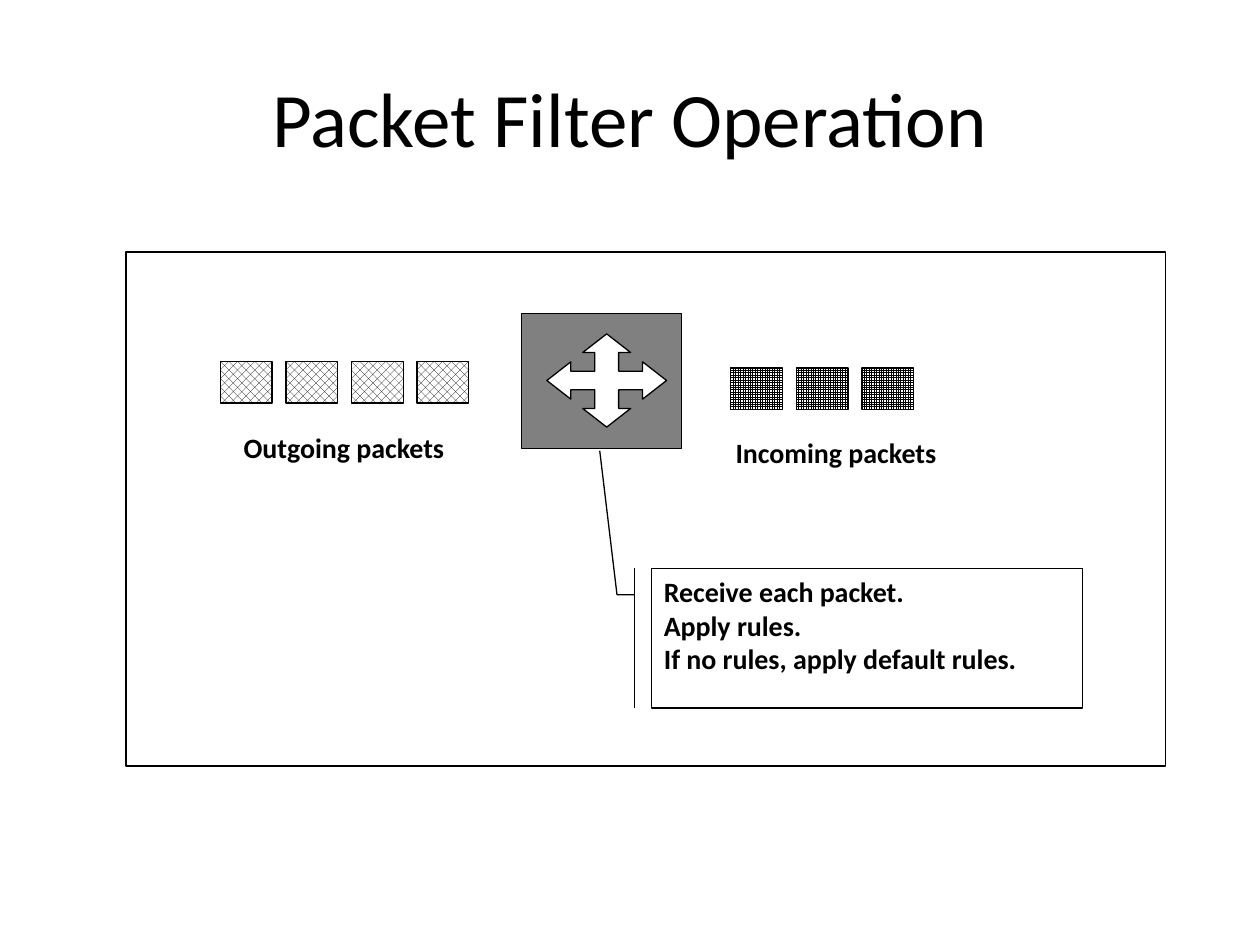
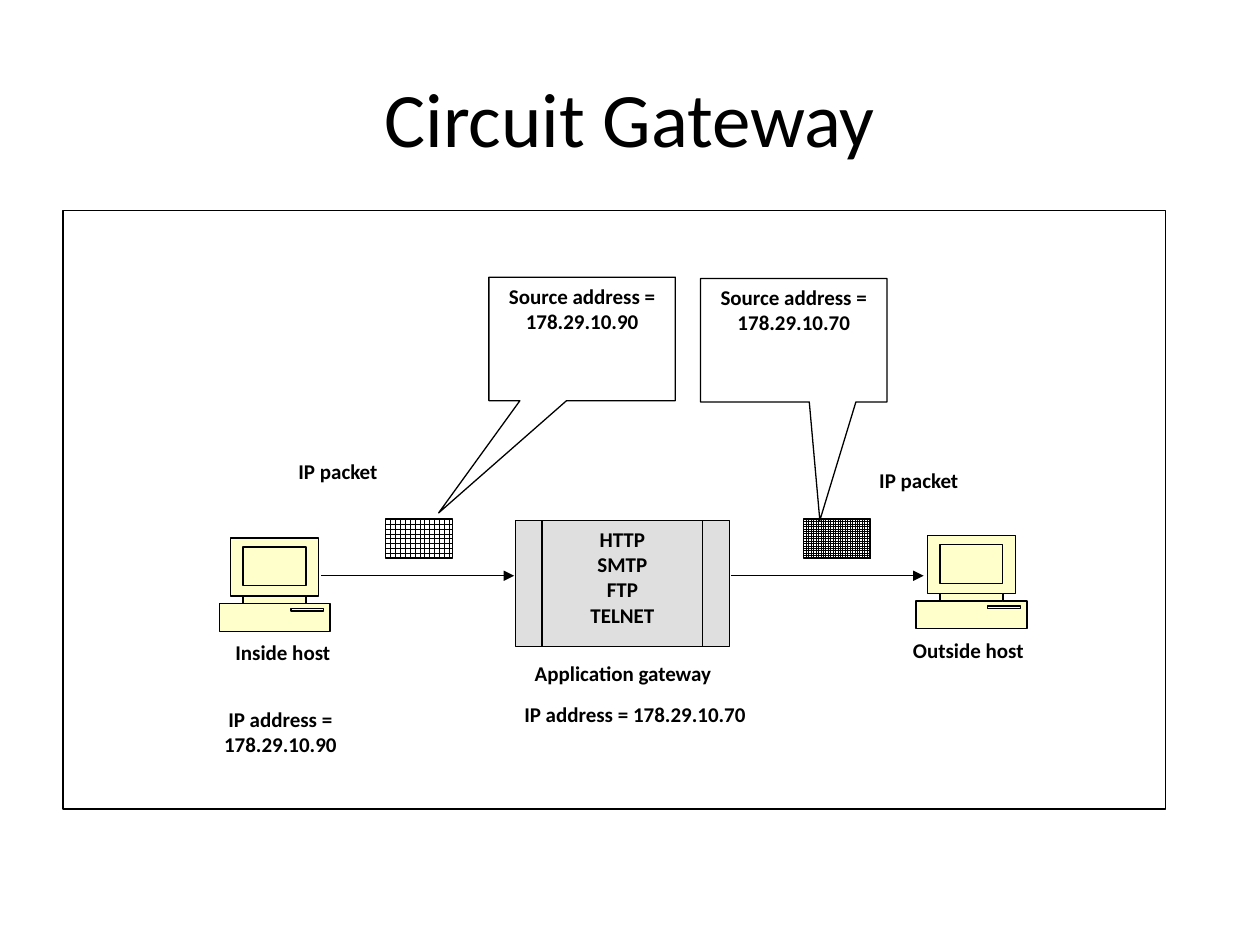
from dataclasses import dataclass

from lxml.etree import SubElement
from pptx import Presentation
from pptx.dml.color import RGBColor
from pptx.enum.dml import MSO_PATTERN
from pptx.enum.shapes import MSO_CONNECTOR, MSO_SHAPE
from pptx.enum.text import MSO_ANCHOR, PP_ALIGN
from pptx.oxml.ns import qn
from pptx.util import Inches, Pt

FONT = "Calibri"
BLACK, WHITE = "000000", "FFFFFF"
DARK_GREY, LIGHT_GREY, CREAM = "808080", "C0C0C0", "FFFFCC"
LINE_WIDTH = 0.75


@dataclass
class Box:
    """A rectangle in inches."""
    left: float
    top: float
    width: float
    height: float

    def inside(self, left, top, width, height):
        """Return a box placed relative to this one."""
        return Box(self.left + left, self.top + top, width, height)

    def lengths(self):
        """Return left, top, width and height as lengths."""
        return [Inches(side) for side in (self.left, self.top, self.width, self.height)]


def color(value):
    """Turn a hex string into a colour."""
    return RGBColor.from_string(value)


def write(shape, text, size=12, bold=True, align=PP_ALIGN.CENTER, anchor=MSO_ANCHOR.TOP):
    """Fill a shape with one paragraph for each line of text."""
    frame = shape.text_frame
    frame.word_wrap = True
    frame.vertical_anchor = anchor
    for number, line in enumerate(text.split("\n")):
        para = frame.add_paragraph() if number else frame.paragraphs[0]
        para.alignment = align
        span = para.add_run()
        span.text = line
        span.font.name = FONT
        span.font.size = Pt(size)
        span.font.bold = bold
        span.font.color.rgb = color(BLACK)


def paint(shape, fill=WHITE, outlined=True):
    """Give a shape its fill and outline, without a shadow."""
    shape.shadow.inherit = False
    shape.fill.solid()
    shape.fill.fore_color.rgb = color(fill)
    if outlined:
        shape.line.color.rgb = color(BLACK)
        shape.line.width = Pt(LINE_WIDTH)
    else:
        shape.line.fill.background()
    return shape


def add_preset(page, box, kind=MSO_SHAPE.RECTANGLE, fill=WHITE, outlined=True, adjustments=()):
    """Add a painted preset shape."""
    shape = page.shapes.add_shape(kind, *box.lengths())
    for number, value in enumerate(adjustments):
        shape.adjustments[number] = value
    return paint(shape, fill, outlined)


def add_outline(page, box, points, columns, rows, fill):
    """Add a closed outline drawn on a grid that spans the box."""
    left, top, width, height = box.lengths()
    builder = page.shapes.build_freeform(*points[0], scale=(width / columns, height / rows))
    builder.add_line_segments(points[1:], close=True)
    return paint(builder.convert_to_shape(left, top), fill)


def add_label(page, box, text, **text_format):
    """Add a white label without an outline."""
    write(add_preset(page, box, outlined=False), text, **text_format)


def add_packet(page, box, pattern):
    """Add a packet filled with a black and white pattern."""
    fill = add_preset(page, box).fill
    fill.patterned()
    fill.pattern = pattern
    fill.fore_color.rgb = color(BLACK)
    fill.back_color.rgb = color(WHITE)


def add_packet_row(page, box, count, pattern):
    """Add equally spaced packets, the first one in the box."""
    for number in range(count):
        add_packet(page, box.inside(number * 0.52, 0, box.width, box.height), pattern)


def add_filter(page, box):
    """Add the packet filter with its four-way arrow."""
    add_preset(page, box, fill=DARK_GREY)
    points, arm = [], [(5, 0), (3, 2), (4, 2), (4, 4), (2, 4), (2, 3)]
    for _ in range(4):
        points += arm
        arm = [(y, 10 - x) for x, y in arm]
    add_outline(page, box.inside(0.2, 0.16, 0.95, 0.74), points, 10, 10, WHITE)


def add_computer(page, box):
    """Add a desktop computer."""
    left_half = [(19, 52), (19, 46), (9, 46), (9, 0)]
    base = [(0, 74), (0, 52)]
    left_side = base + left_half
    right_side = [(88 - x, y) for x, y in reversed(left_side)]
    add_outline(page, box, left_side + right_side, 88, 74, CREAM)
    neck, screen, drive = (0.19, 0.46, 0.5, 0.06), (0.19, 0.07, 0.5, 0.31), (0.57, 0.56, 0.26, 0.02)
    for part in (neck, screen, drive):
        add_preset(page, box.inside(*part), fill=CREAM)


def add_gateway(page, box):
    """Add the half-transparent gateway with its protocols."""
    gateway = add_preset(page, box, MSO_SHAPE.FLOWCHART_PREDEFINED_PROCESS, LIGHT_GREY)
    fill_color = gateway.fill._xPr.find(qn("a:solidFill"))[0]
    SubElement(fill_color, qn("a:alpha"), val="50000")
    write(gateway, "HTTP\nSMTP\nFTP\nTELNET")


def add_arrow(page, box):
    """Add an arrow along the top of the box."""
    left, top, width, _ = box.lengths()
    arrow = page.shapes.add_connector(MSO_CONNECTOR.STRAIGHT, left, top, left + width, top)
    arrow.line.color.rgb = color(BLACK)
    arrow.line.width = Pt(LINE_WIDTH)
    SubElement(arrow.line._get_or_add_ln(), qn("a:tailEnd"), type="triangle")
    SubElement(arrow._element.spPr, qn("a:effectLst"))


def add_page(deck, title, frame):
    """Add a page with a title and a framed diagram area."""
    page = deck.slides.add_slide(deck.slide_layouts[6])
    title_box = page.shapes.add_textbox(*Box(0.5, 0.3, 9, 1.25).lengths())
    write(title_box, title, size=44, bold=False, anchor=MSO_ANCHOR.MIDDLE)
    add_preset(page, frame)
    return page


def packet_filter_page(deck, frame):
    """Build the page on the packet filter."""
    page = add_page(deck, "Packet Filter Operation", frame)
    add_filter(page, frame.inside(3.14, 0.49, 1.27, 1.07))
    add_packet_row(page, frame.inside(0.75, 0.87, 0.41, 0.33), 4, MSO_PATTERN.PERCENT_50)
    add_packet_row(page, frame.inside(4.8, 0.92, 0.41, 0.33), 3, MSO_PATTERN.SMALL_GRID)
    add_label(page, frame.inside(0.74, 1.37, 1.98, 0.47), "Outgoing packets", size=16)
    add_label(page, frame.inside(4.6, 1.41, 2.07, 0.47), "Incoming packets", size=16)
    rules = add_preset(page, frame.inside(4.17, 2.51, 3.42, 1.11),
                       MSO_SHAPE.LINE_CALLOUT_2_BORDER_AND_ACCENT_BAR,
                       adjustments=(0.19, -0.04, 0.19, -0.08, -0.84, -0.12))
    write(rules, "Receive each packet.\nApply rules.\nIf no rules, apply default rules.",
          size=16, align=PP_ALIGN.LEFT)


def circuit_gateway_page(deck, frame):
    """Build the page on the circuit gateway."""
    page = add_page(deck, "Circuit Gateway", frame)
    add_computer(page, frame.inside(1.24, 2.6, 0.88, 0.74))
    add_computer(page, frame.inside(6.77, 2.58, 0.88, 0.74))
    add_gateway(page, frame.inside(3.59, 2.46, 1.7, 1))
    labels = [
        ("Application gateway", (3.31, 3.52, 2.27, 0.41), PP_ALIGN.CENTER),
        ("IP address = 178.29.10.90", (0.88, 3.89, 1.69, 0.64), PP_ALIGN.CENTER),
        ("IP address = 178.29.10.70", (3.55, 3.85, 1.98, 0.64), PP_ALIGN.CENTER),
        ("IP packet", (1.77, 1.92, 1.19, 0.49), PP_ALIGN.LEFT),
        ("IP packet", (6.38, 1.99, 1.17, 0.42), PP_ALIGN.LEFT),
        ("Inside host", (0.95, 3.36, 1.59, 0.37), PP_ALIGN.CENTER),
        ("Outside host", (6.39, 3.34, 1.59, 0.37), PP_ALIGN.CENTER),
    ]
    for text, place, align in labels:
        add_label(page, frame.inside(*place), text, align=align)
    hops = [
        ("178.29.10.90", 2.56, MSO_PATTERN.LARGE_GRID, (3.38, 0.53), (-0.77, 1.41), 2.05),
        ("178.29.10.70", 5.88, MSO_PATTERN.SMALL_GRID, (5.06, 0.54), (0.14, 1.46), 5.3),
    ]
    for address, packet_left, pattern, corner, pointer, arrow_left in hops:
        add_packet(page, frame.inside(packet_left, 2.45, 0.53, 0.31), pattern)
        source = add_preset(page, frame.inside(*corner, 1.48, 0.98),
                            MSO_SHAPE.RECTANGULAR_CALLOUT, adjustments=pointer)
        write(source, f"Source address = {address}")
        add_arrow(page, frame.inside(arrow_left, 2.9, 1.53, 0))


def main():
    """Build and save the deck."""
    deck = Presentation()
    deck.slide_width, deck.slide_height = Inches(10), Inches(7.5)
    packet_filter_page(deck, Box(1, 2, 8.25, 4.08))
    circuit_gateway_page(deck, Box(0.5, 1.67, 8.75, 4.75))
    deck.save("out.pptx")


if __name__ == "__main__":
    main()
